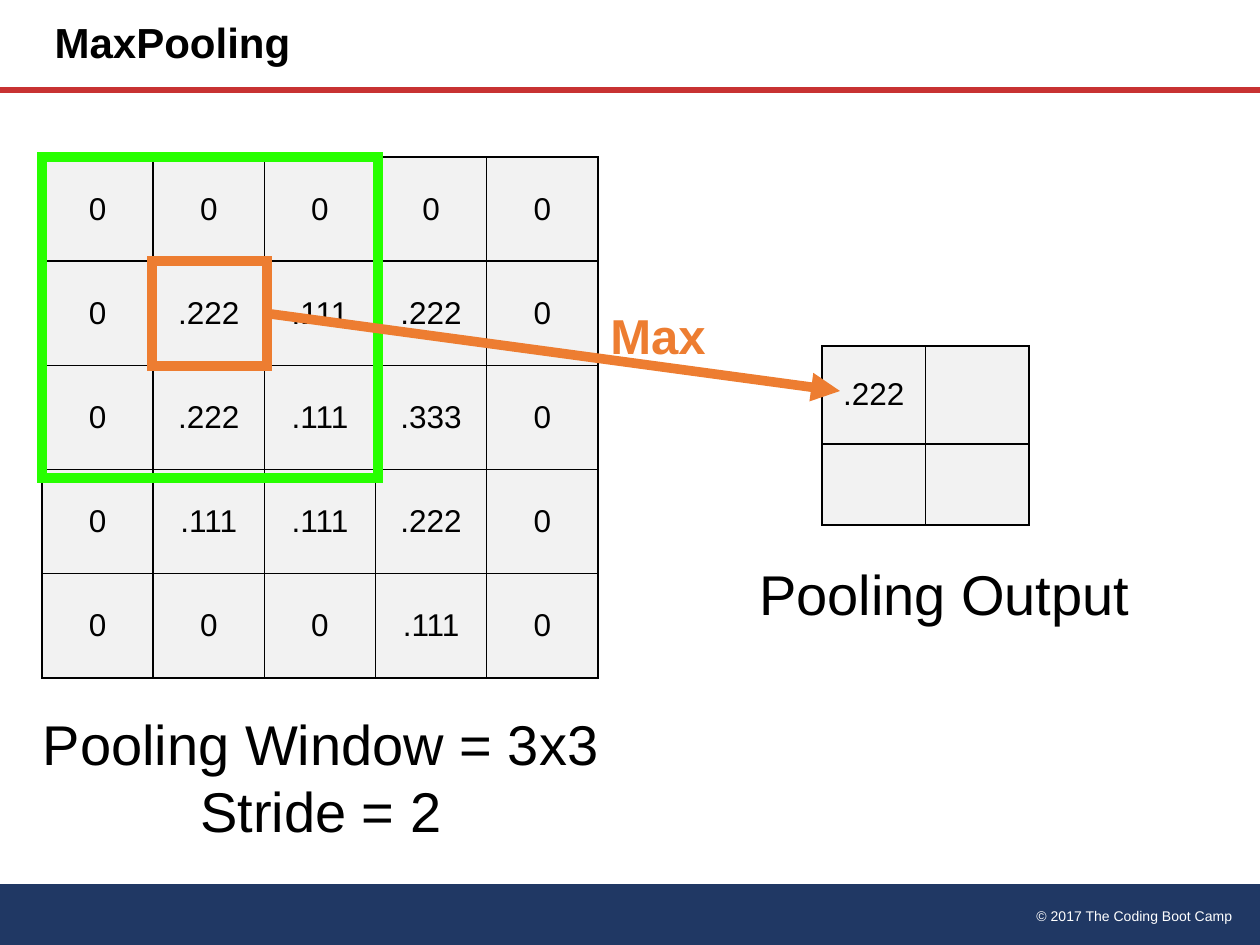
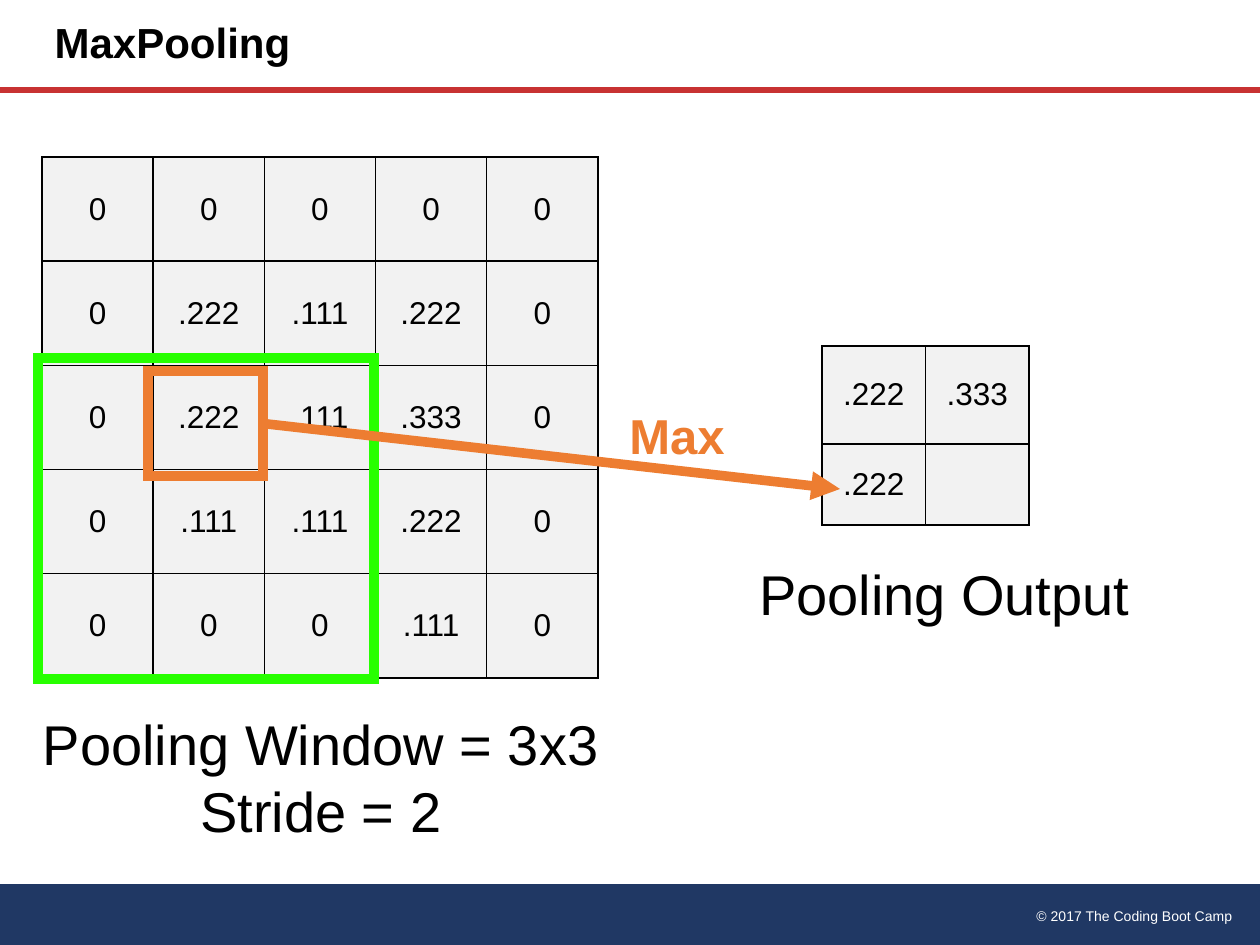
from lxml.etree import SubElement
from pptx import Presentation
from pptx.dml.color import RGBColor
from pptx.enum.shapes import MSO_CONNECTOR, MSO_SHAPE
from pptx.enum.text import MSO_ANCHOR, MSO_AUTO_SIZE, PP_ALIGN
from pptx.oxml import parse_xml
from pptx.oxml.ns import nsdecls, qn
from pptx.util import Emu, Pt

EMU_PER_PX = 914400 / 126
FONT = "Arial"
BLACK = RGBColor(0x00, 0x00, 0x00)
WHITE = RGBColor(0xFF, 0xFF, 0xFF)
NAVY = RGBColor(0x20, 0x38, 0x64)
RED = RGBColor(0xC8, 0x32, 0x32)
CELL_GREY = RGBColor(0xF2, 0xF2, 0xF2)
WINDOW_GREEN = RGBColor(0x27, 0xFF, 0x00)
MAX_ORANGE = RGBColor(0xED, 0x7D, 0x31)

FEATURE_MAP = [
    ["0", "0", "0", "0", "0"],
    ["0", ".222", ".111", ".222", "0"],
    ["0", ".222", ".111", ".333", "0"],
    ["0", ".111", ".111", ".222", "0"],
    ["0", "0", "0", ".111", "0"],
]


def px(*lengths):
    """Turn pixel lengths into a list of EMU lengths."""
    return [Emu(round(length * EMU_PER_PX)) for length in lengths]


def add_run(paragraph, text, size, color=BLACK, bold=False, align=PP_ALIGN.CENTER):
    """Append one formatted run and align its paragraph."""
    paragraph.alignment = align
    run = paragraph.add_run()
    run.text = text
    run.font.name = FONT
    run.font.size = Pt(size)
    run.font.bold = bold
    run.font.color.rgb = color


def add_label(slide, box, lines, size, wrap=False, **style):
    """Add a text box with one paragraph per line."""
    frame = slide.shapes.add_textbox(*px(*box)).text_frame
    frame.word_wrap = wrap
    frame.auto_size = MSO_AUTO_SIZE.SHAPE_TO_FIT_TEXT
    for index, line in enumerate(lines):
        paragraph = frame.add_paragraph() if index else frame.paragraphs[0]
        add_run(paragraph, line, size, **style)


def add_line(slide, start, end, color, width, arrow=False):
    """Add a straight line without shadow, with an optional arrowhead."""
    line = slide.shapes.add_connector(MSO_CONNECTOR.STRAIGHT, *px(*start, *end))
    line.line.color.rgb = color
    line.line.width = Pt(width)
    properties = line.element.spPr
    if arrow:
        SubElement(properties.find(qn("a:ln")), qn("a:tailEnd"), type="triangle")
    SubElement(properties, qn("a:effectLst"))
    return line


def add_outline(slide, box, color):
    """Add a hollow rectangle with a thick square-cornered border."""
    outline = slide.shapes.add_shape(MSO_SHAPE.RECTANGLE, *px(*box))
    outline.shadow.inherit = False
    outline.fill.background()
    outline.line.color.rgb = color
    outline.line.width = Pt(6)
    SubElement(outline.element.spPr.find(qn("a:ln")), qn("a:miter"), lim="800000")
    return outline


def add_cell_borders(cell):
    """Draw a thin black line on each side of a cell."""
    properties = cell._tc.get_or_add_tcPr()
    for index, side in enumerate("LRTB"):
        properties.insert(index, parse_xml(
            f'<a:ln{side} {nsdecls("a")} w="{Pt(1)}"><a:solidFill>'
            f'<a:srgbClr val="{BLACK}"/></a:solidFill></a:ln{side}>'))


def add_grid(slide, box, values, row_heights=()):
    """Add a bordered table of centred values."""
    table = slide.shapes.add_table(len(values), len(values[0]), *px(*box)).table
    table.first_row = table.horz_banding = False
    for row, height in zip(table.rows, px(*row_heights)):
        row.height = height
    for row, row_values in zip(table.rows, values):
        for cell, value in zip(row.cells, row_values):
            cell.fill.solid()
            cell.fill.fore_color.rgb = CELL_GREY
            cell.vertical_anchor = MSO_ANCHOR.MIDDLE
            add_cell_borders(cell)
            if value:
                add_run(cell.text_frame.paragraphs[0], value, 18)


def add_frame(slide, heading):
    """Add the footer band, copyright, rule and title."""
    band = slide.shapes.add_shape(MSO_SHAPE.FLOWCHART_PROCESS, *px(0, 884, 1261, 63))
    band.shadow.inherit = False
    band.fill.solid()
    band.fill.fore_color.rgb = NAVY
    band.line.fill.background()
    add_label(slide, (861, 901, 384, 30), ["© 2017 The Coding Boot Camp"], 8,
              wrap=True, color=WHITE, align=PP_ALIGN.RIGHT)
    add_line(slide, (0, 90), (1260, 90), RED, 3.25)

    title = slide.shapes.title
    title.left, title.top, title.width, title.height = px(42, 0, 1201, 90)
    title.text_frame.vertical_anchor = MSO_ANCHOR.MIDDLE
    paragraph = title.text_frame.paragraphs[0]
    paragraph.line_spacing = 0.9
    add_run(paragraph, heading, 24, bold=True, align=PP_ALIGN.LEFT)


def add_pooling_step(deck, pooled, window, maximum, target, max_label):
    """Add a slide that pools one window; the last four arguments are positions."""
    slide = deck.slides.add_slide(deck.slide_layouts[5])
    add_frame(slide, "MaxPooling")
    add_grid(slide, (42, 157, 556, 521), FEATURE_MAP)
    add_label(slide, (745, 553, 399, 81), ["Pooling Output"], 32)
    add_grid(slide, (822, 346, 207, 179), pooled, row_heights=(98, 81))

    add_outline(slide, (*window, 336, 321), WINDOW_GREEN)
    max_cell = add_outline(slide, (*maximum, 115, 105), MAX_ORANGE)
    arrow = add_line(slide, maximum, target, MAX_ORANGE, 5.5, arrow=True)
    arrow.begin_connect(max_cell, 3)

    add_label(slide, (28, 703, 586, 149), ["Pooling Window = 3x3", "Stride = 2"], 32)
    add_label(slide, (*max_label, 122, 72), ["Max"], 28, color=MAX_ORANGE, bold=True)


def main():
    """Build and save the two pooling slides."""
    deck = Presentation()
    deck.slide_width, deck.slide_height = px(1260, 945)
    add_pooling_step(deck, [[".222", ""], ["", ""]], window=(42, 157),
                     maximum=(152, 261), target=(840, 391), max_label=(597, 299))
    add_pooling_step(deck, [[".222", ".333"], [".222", ""]], window=(38, 358),
                     maximum=(148, 371), target=(840, 489), max_label=(616, 399))
    deck.save("out.pptx")


if __name__ == "__main__":
    main()
